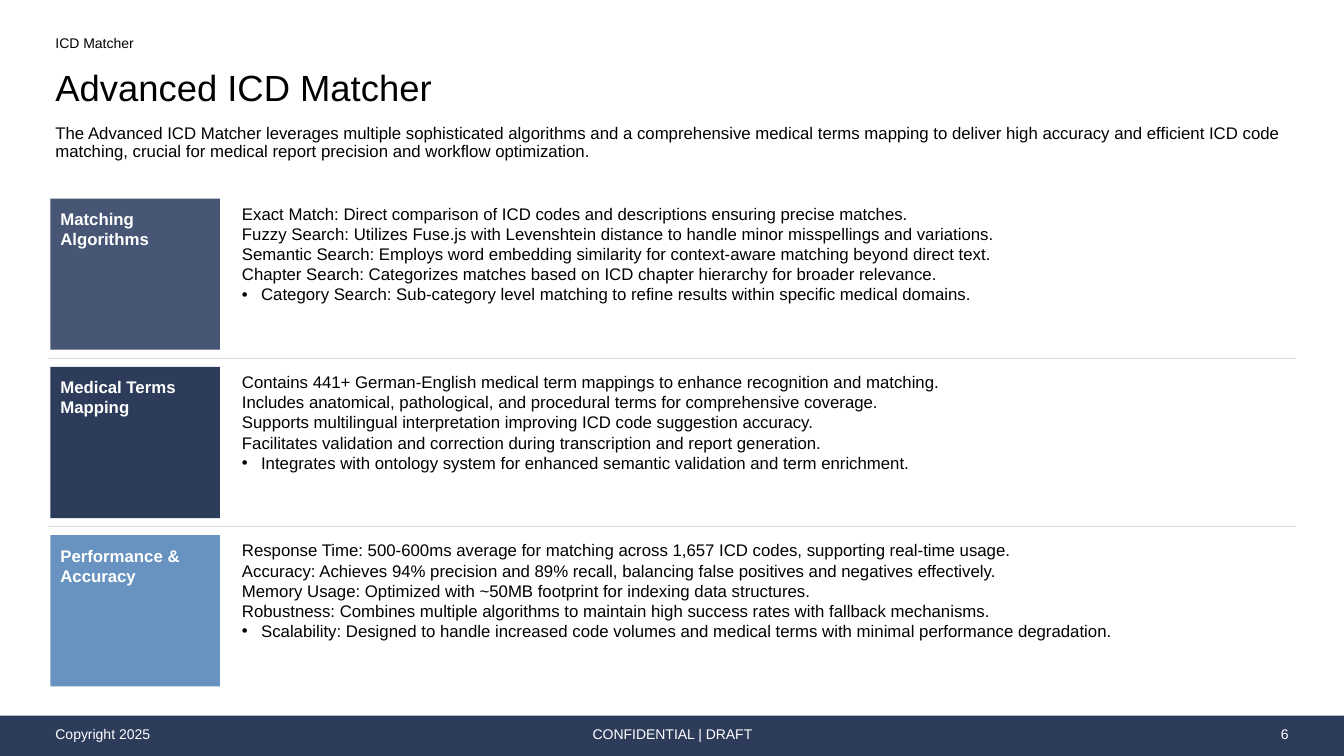
from lxml import etree
from pptx import Presentation
from pptx.dml.color import RGBColor
from pptx.enum.shapes import MSO_CONNECTOR, MSO_SHAPE
from pptx.enum.text import MSO_ANCHOR, PP_ALIGN
from pptx.oxml.ns import qn
from pptx.util import Inches, Pt

RECT = MSO_SHAPE.RECTANGLE
STRAIGHT = MSO_CONNECTOR.STRAIGHT
TOP, MIDDLE = MSO_ANCHOR.TOP, MSO_ANCHOR.MIDDLE
LEFT, CENTER, RIGHT = PP_ALIGN.LEFT, PP_ALIGN.CENTER, PP_ALIGN.RIGHT

FONT = "Arial"
COLORS = {
    "text": "000000",
    "white": "FFFFFF",
    "slate": "465674",
    "navy": "2C3C5A",
    "sky": "6893C1",
    "divider": "D5DBE1",
}

SLIDE_W, SLIDE_H = 13.33, 7.5
MARGIN, CONTENT_W = 0.5, 12.33
ROW_TOP, ROW_H, ROW_PITCH = 1.97, 1.5, 1.67
LABEL_W = 1.68
DETAIL_X, DETAIL_W = 2.35, 10.5
DIVIDER_X1, DIVIDER_X2 = 0.48, 12.85
FOOTER_TOP, FOOTER_H = 7.1, 0.4
BULLET_INDENT = 0.19

SECTIONS = [
    ("Matching Algorithms", "slate", [
        "Exact Match: Direct comparison of ICD codes and descriptions ensuring precise matches.",
        "Fuzzy Search: Utilizes Fuse.js with Levenshtein distance to handle minor misspellings and variations.",
        "Semantic Search: Employs word embedding similarity for context-aware matching beyond direct text.",
        "Chapter Search: Categorizes matches based on ICD chapter hierarchy for broader relevance.",
        "Category Search: Sub-category level matching to refine results within specific medical domains.",
    ]),
    ("Medical Terms Mapping", "navy", [
        "Contains 441+ German-English medical term mappings to enhance recognition and matching.",
        "Includes anatomical, pathological, and procedural terms for comprehensive coverage.",
        "Supports multilingual interpretation improving ICD code suggestion accuracy.",
        "Facilitates validation and correction during transcription and report generation.",
        "Integrates with ontology system for enhanced semantic validation and term enrichment.",
    ]),
    ("Performance & Accuracy", "sky", [
        "Response Time: 500-600ms average for matching across 1,657 ICD codes, supporting real-time usage.",
        "Accuracy: Achieves 94% precision and 89% recall, balancing false positives and negatives effectively.",
        "Memory Usage: Optimized with ~50MB footprint for indexing data structures.",
        "Robustness: Combines multiple algorithms to maintain high success rates with fallback mechanisms.",
        "Scalability: Designed to handle increased code volumes and medical terms with minimal performance degradation.",
    ]),
]

SUMMARY = (
    "The Advanced ICD Matcher leverages multiple sophisticated algorithms and a comprehensive "
    "medical terms mapping to deliver high accuracy and efficient ICD code matching, crucial for "
    "medical report precision and workflow optimization."
)


def rgb(color):
    return RGBColor.from_string(COLORS[color])


def write_text(shape, lines, size=12, color="text", bold=False, align=LEFT,
               anchor=TOP, insets=(0.05, 0.05, 0.05, 0.05), spacing=1.0):
    """Fill a shape with one paragraph per line; insets are left, top, right, bottom."""
    frame = shape.text_frame
    frame.word_wrap = True
    frame.vertical_anchor = anchor
    frame.margin_left, frame.margin_top, frame.margin_right, frame.margin_bottom = map(Inches, insets)
    frame.text = "\n".join(lines)
    for paragraph in frame.paragraphs:
        paragraph.alignment = align
        paragraph.line_spacing = spacing
        font = paragraph.font
        for run in paragraph.runs:
            font = run.font
            font.name, font.size, font.bold = FONT, Pt(size), bold
            font.color.rgb = rgb(color)


def add_text(slide, box, lines, **text_format):
    textbox = slide.shapes.add_textbox(*map(Inches, box))
    write_text(textbox, lines, **text_format)
    return textbox


def add_block(slide, box, color):
    block = slide.shapes.add_shape(RECT, *map(Inches, box))
    block.shadow.inherit = False
    block.fill.solid()
    block.fill.fore_color.rgb = rgb(color)
    block.line.fill.background()
    return block


def add_bullet(paragraph):
    properties = paragraph._p.get_or_add_pPr()
    properties.set("marL", str(Inches(BULLET_INDENT)))
    properties.set("indent", str(-Inches(BULLET_INDENT)))
    etree.SubElement(properties, qn("a:buFont")).set("typeface", FONT)
    etree.SubElement(properties, qn("a:buChar")).set("char", "•")


def add_divider(slide, y):
    divider = slide.shapes.add_connector(
        STRAIGHT, Inches(DIVIDER_X1), Inches(y), Inches(DIVIDER_X2), Inches(y))
    divider.line.color.rgb = rgb("divider")
    divider.line.width = Pt(1)
    etree.SubElement(divider._element.spPr, qn("a:effectLst"))


def add_section(slide, top, heading, color, details):
    label = add_block(slide, (MARGIN, top, LABEL_W, ROW_H), color)
    write_text(label, [heading], color="white", bold=True, insets=(0.1, 0.1, 0.1, 0.1))
    body = add_text(slide, (DETAIL_X, top, DETAIL_W, ROW_H), details)
    add_bullet(body.text_frame.paragraphs[-1])


def add_header(slide):
    add_text(slide, (MARGIN, 0.31, CONTENT_W, 0.29), ["ICD Matcher"], size=10, spacing=0.9)
    add_text(slide, (MARGIN, 0.6, CONTENT_W, 0.54), ["Advanced ICD Matcher"], size=26,
             anchor=MIDDLE, insets=(0.05, 0.05, 0.05, 0), spacing=0.9)
    add_text(slide, (MARGIN, 1.14, CONTENT_W, 0.68), [SUMMARY],
             insets=(0.05, 0.1, 0.05, 0.05), spacing=0.9)


def add_footer(slide):
    add_block(slide, (0, FOOTER_TOP, SLIDE_W, FOOTER_H), "navy")
    for left, width, text, align in (
        (MARGIN, 3.97, "Copyright 2025", LEFT),
        (4.42, 4.5, "CONFIDENTIAL | DRAFT", CENTER),
        (9.83, 3, "6", RIGHT),
    ):
        add_text(slide, (left, 7.14, width, 0.28), [text], size=10, color="white",
                 align=align, anchor=MIDDLE)


def main():
    deck = Presentation()
    deck.slide_width, deck.slide_height = Inches(SLIDE_W), Inches(SLIDE_H)
    slide = deck.slides.add_slide(deck.slide_layouts[6])
    add_header(slide)
    for index, (heading, color, details) in enumerate(SECTIONS):
        top = ROW_TOP + index * ROW_PITCH
        add_section(slide, top, heading, color, details)
        if index:
            add_divider(slide, top - (ROW_PITCH - ROW_H) / 2)
    add_footer(slide)
    deck.save("out.pptx")


if __name__ == "__main__":
    main()
